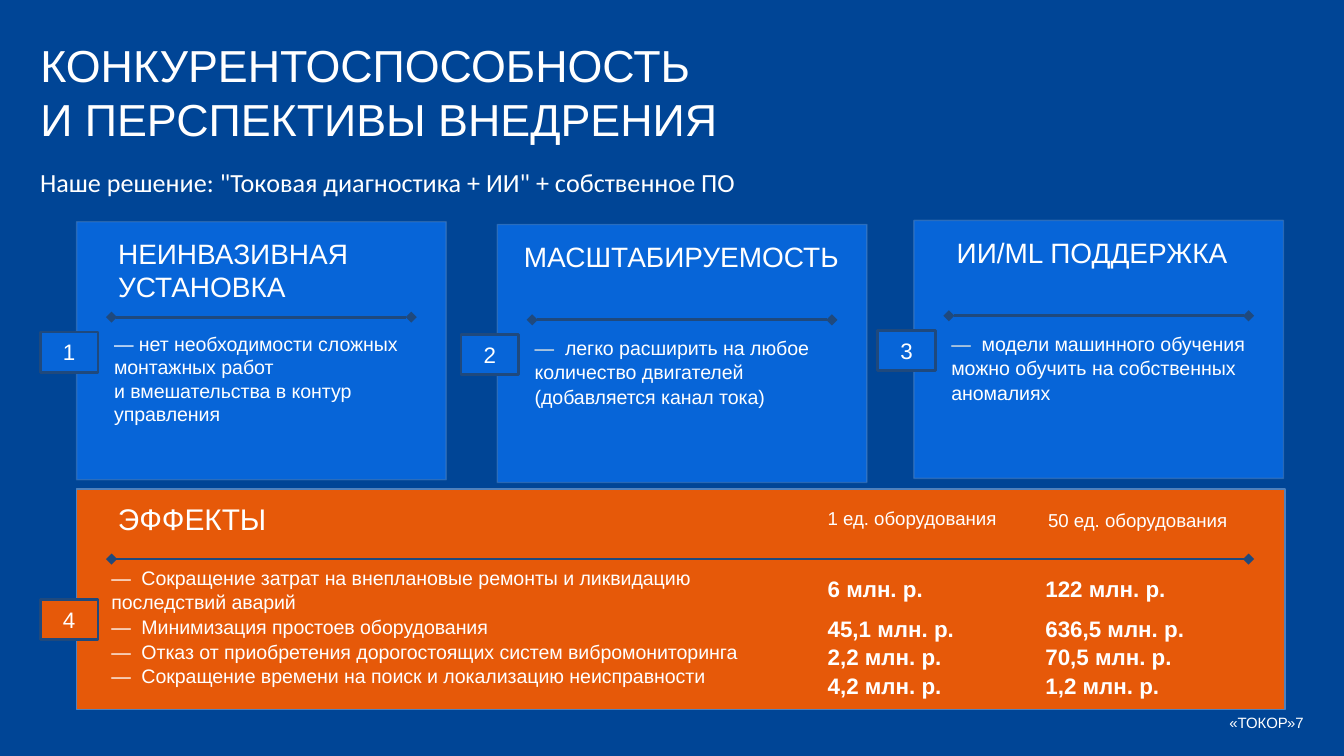
from dataclasses import dataclass

from lxml import etree
from pptx import Presentation
from pptx.dml.color import RGBColor
from pptx.enum.shapes import MSO_CONNECTOR, MSO_SHAPE
from pptx.enum.text import MSO_ANCHOR, PP_ALIGN
from pptx.oxml.ns import qn
from pptx.util import Inches, Pt

RECT = MSO_SHAPE.RECTANGLE
STRAIGHT = MSO_CONNECTOR.STRAIGHT
TOP, MIDDLE = MSO_ANCHOR.TOP, MSO_ANCHOR.MIDDLE
LEFT, CENTER, RIGHT = PP_ALIGN.LEFT, PP_ALIGN.CENTER, PP_ALIGN.RIGHT

NAVY, BLUE, ORANGE = "004596", "0765D8", "E65909"
WHITE, CREAM, EDGE, DARK = "FFFFFF", "EEECE1", "4F81BD", "1F497D"
CARD_W, CARD_H = 2.75, 1.92
DASH = "—  "


@dataclass
class Card:
    number: str
    x: float
    y: float
    title_dx: float
    title: list[str]
    body: list[str]
    dash: str = DASH
    spacing: float = 1.05


@dataclass
class Effect:
    text: str
    one_unit: str
    fifty_units: str
    spacing: float


CARDS = [
    Card("1", 0.57, 1.65, 0.21, ["НЕИНВАЗИВНАЯ", "УСТАНОВКА"],
         ["— нет необходимости сложных монтажных работ",
          "и вмешательства в контур управления"], "", 1.0),
    Card("2", 3.7, 1.67, 0.1, ["МАСШТАБИРУЕМОСТЬ"],
         ["легко расширить на любое количество двигателей "
          "(добавляется канал тока)"]),
    Card("3", 6.8, 1.64, 0.22, ["ИИ/ML ПОДДЕРЖКА\u00a0"],
         ["модели машинного обучения можно обучить на собственных аномалиях"]),
]

EFFECTS = [
    Effect("Сокращение затрат на внеплановые ремонты и ликвидацию "
           "последствий аварий", "6 млн. р.", "122 млн. р.", 1.5),
    Effect("Минимизация простоев оборудования",
           "45,1 млн. р.", "636,5 млн. р.", 1.5),
    Effect("Отказ от приобретения дорогостоящих систем вибромониторинга",
           "2,2 млн. р.", "70,5 млн. р.", 1.05),
    Effect("Сокращение времени на поиск и локализацию неисправности",
           "4,2 млн. р.", "1,2 млн. р.", 1.05),
]


def rgb(color: str) -> RGBColor:
    return RGBColor.from_string(color)


def write(tf, lines: list[str], size: float, font: str = "Arial",
          align=LEFT, anchor=TOP, bold: bool = False,
          spacings: list[float] | None = None, dash: str = "") -> None:
    """Fill a text frame, one paragraph per line; dash opens each in cream."""
    tf.word_wrap = True
    tf.vertical_anchor = anchor
    for i, line in enumerate(lines):
        p = tf.add_paragraph() if i else tf.paragraphs[0]
        p.alignment = align
        if spacings:
            p.line_spacing = spacings[i]
        p.font.name, p.font.size, p.font.bold = font, Pt(size), bold
        p.font.color.rgb = rgb(WHITE)
        if dash:
            r = p.add_run()
            r.text = dash
            r.font.color.rgb = rgb(CREAM)
        p.add_run().text = line


def add_text(s, x: float, y: float, w: float, h: float,
             lines: list[str], size: float, **style) -> None:
    box = s.shapes.add_textbox(Inches(x), Inches(y), Inches(w), Inches(h))
    write(box.text_frame, lines, size, **style)


def add_rect(s, x: float, y: float, w: float, h: float, fill: str,
             line: str, weight: float, alpha: int = 100):
    sp = s.shapes.add_shape(RECT, Inches(x), Inches(y), Inches(w), Inches(h))
    sp.shadow.inherit = False
    sp.fill.solid()
    sp.fill.fore_color.rgb = rgb(fill)
    sp.line.color.rgb = rgb(line)
    sp.line.width = Pt(weight)
    if alpha < 100:
        color = sp.line._get_or_add_ln().find(".//" + qn("a:srgbClr"))
        etree.SubElement(color, qn("a:alpha")).set("val", str(alpha * 1000))
    return sp


def add_badge(s, x: float, y: float, number: str, fill: str) -> None:
    sp = add_rect(s, x, y, 0.43, 0.3, fill, DARK, 1.5)
    write(sp.text_frame, [number], 12, align=CENTER)


def add_rule(s, x1: float, x2: float, y: float) -> None:
    """Horizontal line with a diamond at each end."""
    line = s.shapes.add_connector(STRAIGHT, Inches(x1), Inches(y),
                                  Inches(x2), Inches(y))
    line.line.color.rgb = rgb(DARK)
    line.line.width = Pt(1.5)
    ln = line.line._get_or_add_ln()
    for end in ("a:headEnd", "a:tailEnd"):
        etree.SubElement(ln, qn(end)).set("type", "diamond")
    etree.SubElement(line._element.spPr, qn("a:effectLst"))


def add_card(s, card: Card) -> None:
    x, y = card.x, card.y
    add_rect(s, x, y, CARD_W, CARD_H, BLUE, EDGE, 0.75, alpha=50)
    add_badge(s, x - 0.27, y + 0.82, card.number, BLUE)
    add_text(s, x + card.title_dx, y + 0.06, 2.65, 0.35 * len(card.title),
             card.title, 15)
    add_text(s, x + 0.18, y + 0.77, 2.65, 0.66, card.body, 10.5,
             dash=card.dash, spacings=[card.spacing] * len(card.body))
    add_rule(s, x + 0.26, x + 2.49, y + 0.71)


def add_effects(s) -> None:
    add_rect(s, 0.57, 3.64, 8.99, 1.64, ORANGE, EDGE, 0.75)
    add_badge(s, 0.3, 4.46, "4", ORANGE)
    add_text(s, 0.78, 3.68, 6.97, 0.37, ["ЭФФЕКТЫ"], 16)
    add_text(s, 0.73, 4.15, 4.94, 1.03, [DASH + e.text for e in EFFECTS],
             10.5, spacings=[1.05] * len(EFFECTS))
    add_rule(s, 0.83, 9.29, 4.16)
    spacings = [e.spacing for e in EFFECTS]
    add_text(s, 6.06, 3.72, 1.64, 0.27, ["1 ед. оборудования"], 10)
    add_text(s, 7.7, 3.74, 1.64, 0.27, ["50 ед. оборудования"], 10)
    add_text(s, 6.06, 4.13, 1.56, 1.34, [e.one_unit for e in EFFECTS], 12,
             bold=True, spacings=spacings)
    add_text(s, 7.68, 4.13, 1.56, 1.34, [e.fifty_units for e in EFFECTS], 12,
             bold=True, spacings=spacings)


def main() -> None:
    prs = Presentation()
    prs.slide_width = Inches(10)
    prs.slide_height = prs.slide_width * 9 // 16
    s = prs.slides.add_slide(prs.slide_layouts[5])
    s.background.fill.solid()
    s.background.fill.fore_color.rgb = rgb(NAVY)

    title = s.shapes.title
    title.left, title.top = Inches(0.2), Inches(0.23)
    title.width, title.height = Inches(5.33), Inches(0.78)
    write(title.text_frame,
          ["КОНКУРЕНТОСПОСОБНОСТЬ И ПЕРСПЕКТИВЫ ВНЕДРЕНИЯ"], 24)
    add_text(s, 0.2, 1.19, 7.5, 0.34,
             ['Наше решение: "Токовая диагностика + ИИ" + собственное ПО'],
             14, font="Calibri")

    for card in CARDS:
        add_card(s, card)
    add_effects(s)
    add_text(s, 7.76, 5.23, 2.04, 0.3, ["«ТОКОР»7"], 8,
             align=RIGHT, anchor=MIDDLE)
    prs.save("out.pptx")


if __name__ == "__main__":
    main()
